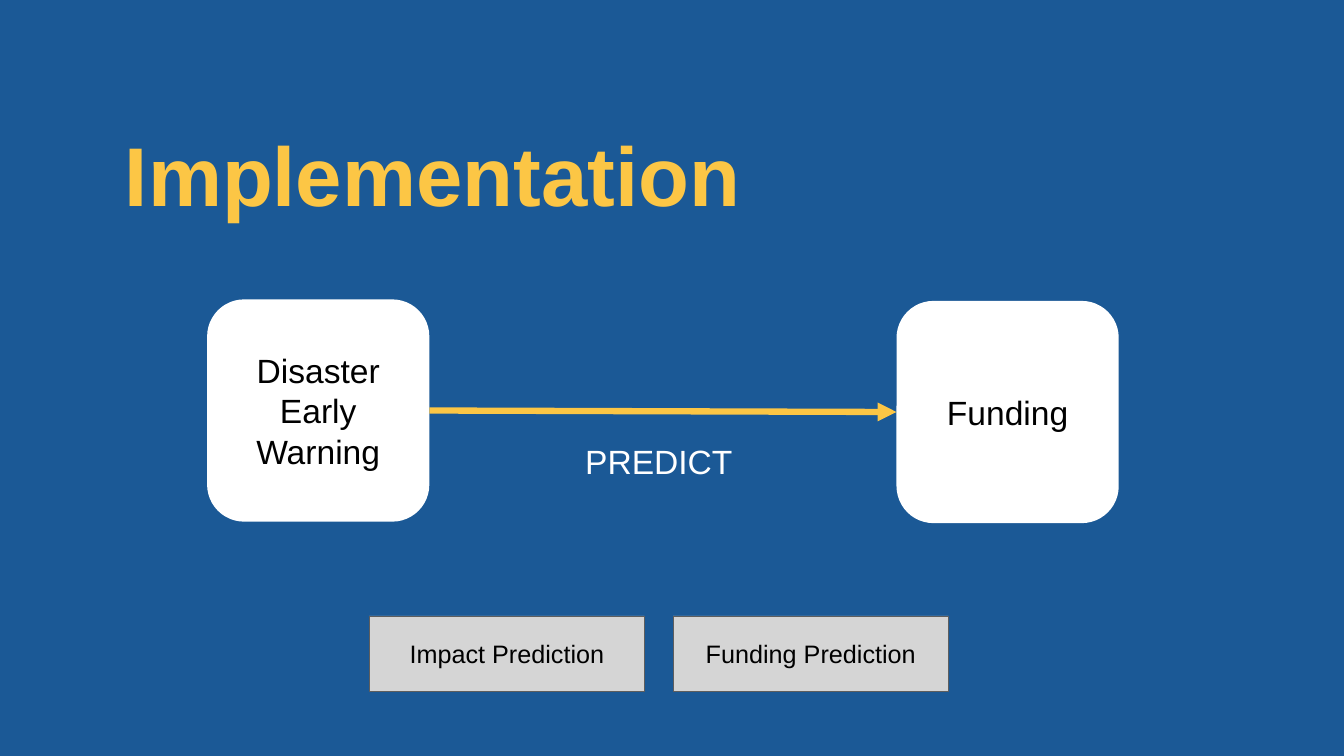
"""Build the Implementation slide: early warning predicts funding."""
from lxml.etree import SubElement
from pptx import Presentation
from pptx.dml.color import RGBColor
from pptx.enum.shapes import MSO_CONNECTOR, MSO_SHAPE
from pptx.enum.text import MSO_ANCHOR, PP_ALIGN
from pptx.oxml.ns import qn
from pptx.util import Emu, Pt

PX = 9144
BLUE, YELLOW, WHITE, BLACK = "1B5996", "FCC645", "FFFFFF", "000000"
LIGHT_GREY, DARK_GREY = "D5D5D5", "5E5E5E"


def paint(color_format, color):
    color_format.rgb = RGBColor.from_string(color)


def write(shape, text, size, color, inset=10, anchor=MSO_ANCHOR.MIDDLE, align=PP_ALIGN.CENTER):
    frame = shape.text_frame
    frame.word_wrap = True
    frame.vertical_anchor = anchor
    frame.margin_left = frame.margin_right = Emu(inset * PX)
    frame.margin_top = frame.margin_bottom = Emu(inset * PX)
    paragraph = frame.paragraphs[0]
    paragraph.text = text
    paragraph.alignment = align
    paragraph.font.name = "Arial"
    paragraph.font.size = Pt(size)
    paint(paragraph.font.color, color)
    return paragraph


presentation = Presentation()
presentation.slide_width = Emu(2667 * PX)
presentation.slide_height = Emu(1500 * PX)
slide = presentation.slides.add_slide(presentation.slide_layouts[6])
slide.background.fill.solid()
paint(slide.background.fill.fore_color, BLUE)

title = slide.shapes.add_textbox(242 * PX, 160 * PX, 2131 * PX, 369 * PX)
write(title, "Implementation", 119, YELLOW, inset=6, align=PP_ALIGN.LEFT).font.bold = True

for left, text in ((733, "Impact Prediction"), (1336, "Funding Prediction")):
    model = slide.shapes.add_shape(MSO_SHAPE.RECTANGLE, left * PX, 1222 * PX, 546 * PX, 149 * PX)
    model.shadow.inherit = False
    model.fill.solid()
    paint(model.fill.fore_color, LIGHT_GREY)
    paint(model.line.color, DARK_GREY)
    model.line.width = Pt(0.75)
    write(model, text, 36, BLACK)

stages = []
for left, top, text in ((411, 594, "Disaster Early Warning"), (1779, 597, "Funding")):
    stage = slide.shapes.add_shape(MSO_SHAPE.ROUNDED_RECTANGLE, left * PX, top * PX, 441 * PX, 441 * PX)
    stage.shadow.inherit = False
    stage.fill.solid()
    paint(stage.fill.fore_color, WHITE)
    stage.line.fill.background()
    write(stage, text, 48, BLACK)
    stages.append(stage)

arrow = slide.shapes.add_connector(MSO_CONNECTOR.STRAIGHT, 0, 0, 0, 0)
arrow.begin_connect(stages[0], 3)
arrow.end_connect(stages[1], 1)
paint(arrow.line.color, YELLOW)
arrow.line.width = Pt(9)
SubElement(arrow.line._get_or_add_ln(), qn("a:tailEnd"), type="triangle")
SubElement(arrow._element.spPr, qn("a:effectLst"))

label = slide.shapes.add_textbox(1098 * PX, 865 * PX, 419 * PX, 133 * PX)
write(label, "PREDICT", 48, WHITE, anchor=MSO_ANCHOR.TOP)

presentation.save("out.pptx")
